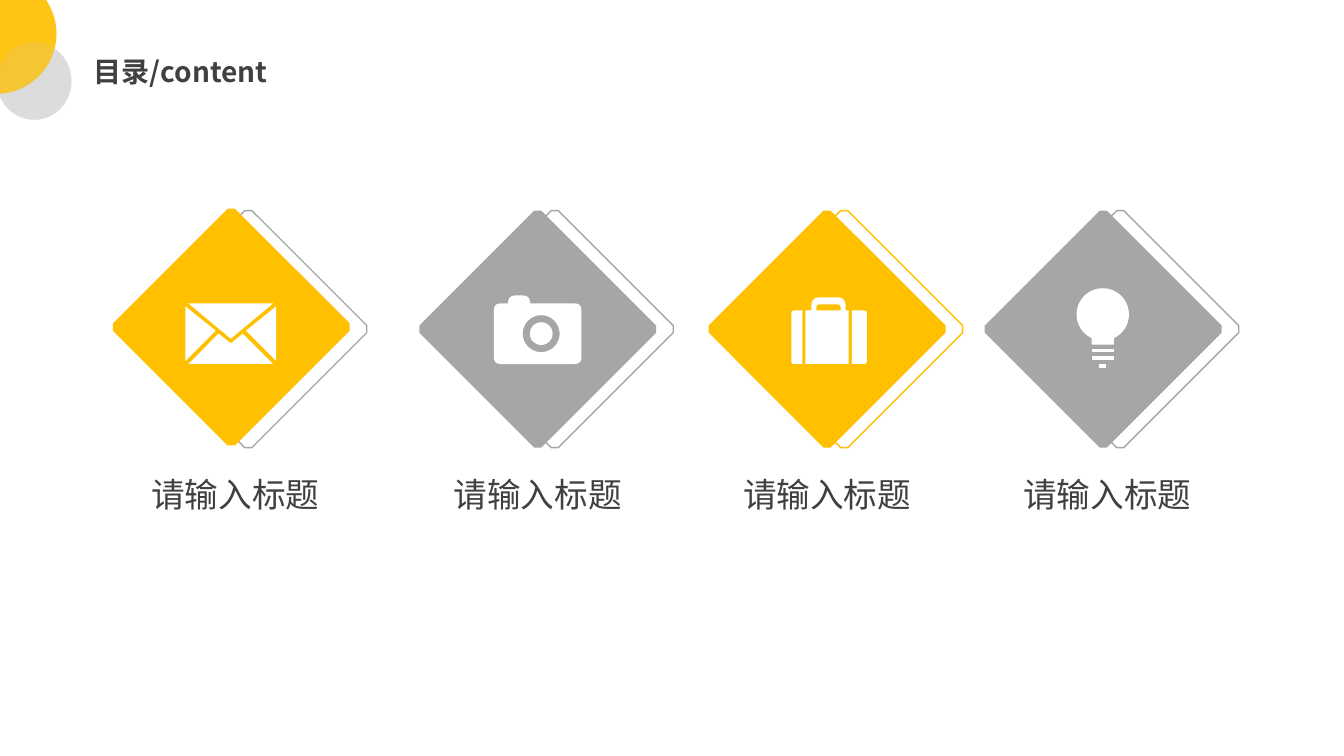
from math import cos, dist, radians, sin

from lxml.etree import SubElement
from pptx import Presentation
from pptx.dml.color import RGBColor
from pptx.enum.shapes import MSO_SHAPE
from pptx.enum.text import MSO_AUTO_SIZE, PP_ALIGN
from pptx.oxml.ns import qn
from pptx.util import Pt

YELLOW = RGBColor(0xFF, 0xC0, 0x00)
GRAY = RGBColor(0xA6, 0xA6, 0xA6)
PALE = RGBColor(0xD9, 0xD9, 0xD9)
WHITE = RGBColor(0xFF, 0xFF, 0xFF)
DARK = RGBColor(0x40, 0x40, 0x40)
FONT = "Noto Sans CJK SC"

HEADING = "目录/content"
# caption, caption left, diamond left, diamond top, fill, outline
ENTRIES = [
    ("请输入标题", 80.6, 80.6, 149, YELLOW, GRAY),
    ("请输入标题", 296.6, 299.5, 150.5, GRAY, GRAY),
    ("请输入标题", 503.3, 506.2, 150.5, YELLOW, YELLOW),
    ("请输入标题", 703.4, 703.4, 150.5, GRAY, GRAY),
]
DIAMOND_SIZE = 169.2
OUTLINE_SHIFT = 12.2
OUTLINE_TOP = 150.5
# left, top, width, height, colour
CORNER_CIRCLES = [
    (-2.2, 30.2, 53.3, 55.4, PALE),
    (-45.4, -18.7, 85.7, 85.7, YELLOW),
]
CIRCLE_LAYERS = 2


def arc(center_x, center_y, radius, start=0, end=360, steps=48):
    angles = [radians(start + (end - start) * i / steps) for i in range(steps + 1)]
    return [(center_x + radius * cos(a), center_y + radius * sin(a)) for a in angles]


def rounded(corners):
    """Turn (x, y, radius) corners into points, bending each corner that has a radius."""
    points = []
    for i, (x, y, radius) in enumerate(corners):
        if not radius:
            points.append((x, y))
            continue
        ends = []
        for near in (corners[i - 1], corners[(i + 1) % len(corners)]):
            share = radius / dist((x, y), near[:2])
            ends.append((x + (near[0] - x) * share, y + (near[1] - y) * share))
        (ax, ay), (bx, by) = ends
        for t in (0, 0.2, 0.4, 0.6, 0.8, 1):
            u = 1 - t
            points.append((u * u * ax + 2 * u * t * x + t * t * bx,
                           u * u * ay + 2 * u * t * y + t * t * by))
    return points


def box(left, top, right, bottom):
    return [(left, top), (right, top), (right, bottom), (left, bottom)]


# Each icon is a list of parts; each part is an outline followed by its holes.
ENVELOPE = [
    [[(134.6, 216.7), (195.1, 216.7), (164.9, 241.9)]],
    [[(197.3, 218.9), (175.7, 236.2), (197.3, 257.8)]],
    [[(132.5, 218.9), (154.1, 236.2), (132.5, 257.8)]],
    [[(134.6, 260), (156.2, 238.3), (164.2, 244.8),
      (165.6, 244.8), (173.5, 238.3), (195.1, 260)]],
]
CAMERA = [
    [rounded([(352.8, 216.7, 5), (362.9, 216.7, 0), (362.9, 211, 5.5), (378.7, 211, 5.5),
              (378.7, 216.7, 0), (415.4, 216.7, 5), (415.4, 260, 5), (352.8, 260, 5)]),
     arc(386.6, 238.3, 13.2)],
    [arc(386.6, 238.3, 8.1)],
]
SUITCASE = [
    [rounded([(608.4, 221.8, 0), (619.2, 221.8, 2.2), (619.2, 260, 2.2), (608.4, 260, 0)])],
    [rounded([(575.3, 221.8, 0), (579.6, 221.8, 0), (579.6, 212.4, 6), (604.1, 212.4, 6),
              (604.1, 221.8, 0), (606.2, 221.8, 0), (606.2, 260, 0), (575.3, 260, 0)]),
     rounded([(583.2, 221.8, 0), (583.2, 217.4, 2.2),
              (600.5, 217.4, 2.2), (600.5, 221.8, 0)])],
    [rounded([(565.2, 221.8, 2.2), (573.1, 221.8, 0), (573.1, 260, 0), (565.2, 260, 2.2)])],
]
BULB = [
    [arc(787.7, 224.6, 18.7, 115, 425) + [(795.6, 246.2), (779.8, 246.2)]],
    [box(779.8, 249.1, 795.6, 251.7)],
    [box(779.8, 254.5, 795.6, 257)],
    [box(784.8, 259.9, 790.2, 262.8)],
]


def paint(shape, fill=None, line=None, alpha=None):
    shape.shadow.inherit = False
    if fill is None:
        shape.fill.background()
    else:
        shape.fill.solid()
        shape.fill.fore_color.rgb = fill
    if alpha is not None:
        color = shape._element.spPr.find(qn("a:solidFill"))[0]
        SubElement(color, qn("a:alpha"), val=str(alpha * 1000))
    if line is None:
        shape.line.fill.background()
    else:
        shape.line.color.rgb = line
        shape.line.width = Pt(1)


def add_preset(slide, kind, left, top, width, height, **look):
    shape = slide.shapes.add_shape(kind, Pt(left), Pt(top), Pt(width), Pt(height))
    paint(shape, **look)
    return shape


def add_diamond(slide, left, top, **look):
    diamond = add_preset(slide, MSO_SHAPE.OCTAGON, left, top, DIAMOND_SIZE, DIAMOND_SIZE, **look)
    diamond.adjustments[0] = 0.485


def add_text(slide, text, left, top, width, height, size, bold=False, align=PP_ALIGN.LEFT):
    textbox = slide.shapes.add_textbox(Pt(left), Pt(top), Pt(width), Pt(height))
    frame = textbox.text_frame
    frame.word_wrap = True
    frame.auto_size = MSO_AUTO_SIZE.SHAPE_TO_FIT_TEXT
    paragraph = frame.paragraphs[0]
    paragraph.alignment = align
    run = paragraph.add_run()
    run.text = text
    run.font.size = Pt(size)
    run.font.bold = bold
    run.font.name = FONT
    run.font.color.rgb = DARK
    SubElement(run._r.get_or_add_rPr(), qn("a:ea"), typeface=FONT)


def add_icon(slide, parts):
    shapes = []
    for contours in parts:
        builder = None
        for contour in contours:
            start, *rest = [(Pt(x), Pt(y)) for x, y in contour]
            if builder is None:
                builder = slide.shapes.build_freeform(*start)
            else:
                builder.move_to(*start)
            builder.add_line_segments(rest, close=True)
        shape = builder.convert_to_shape()
        paint(shape, fill=WHITE)
        shapes.append(shape)
    slide.shapes.add_group_shape(shapes)


def main():
    deck = Presentation()
    deck.slide_width, deck.slide_height = Pt(960), Pt(540)
    slide = deck.slides.add_slide(deck.slide_layouts[6])

    for *place, color in CORNER_CIRCLES * CIRCLE_LAYERS:
        add_preset(slide, MSO_SHAPE.OVAL, *place, fill=color, alpha=70)
    add_text(slide, HEADING, 59.8, 35.3, 142, 31.7, size=20, bold=True)

    for caption, caption_left, left, top, fill, outline in ENTRIES:
        add_diamond(slide, left + OUTLINE_SHIFT, OUTLINE_TOP, line=outline)
        add_diamond(slide, left, top, fill=fill)
        add_text(slide, caption, caption_left, 334.8, 175, 38.2, size=24, align=PP_ALIGN.CENTER)
    for icon in (ENVELOPE, CAMERA, SUITCASE, BULB):
        add_icon(slide, icon)

    deck.save("out.pptx")


if __name__ == "__main__":
    main()
